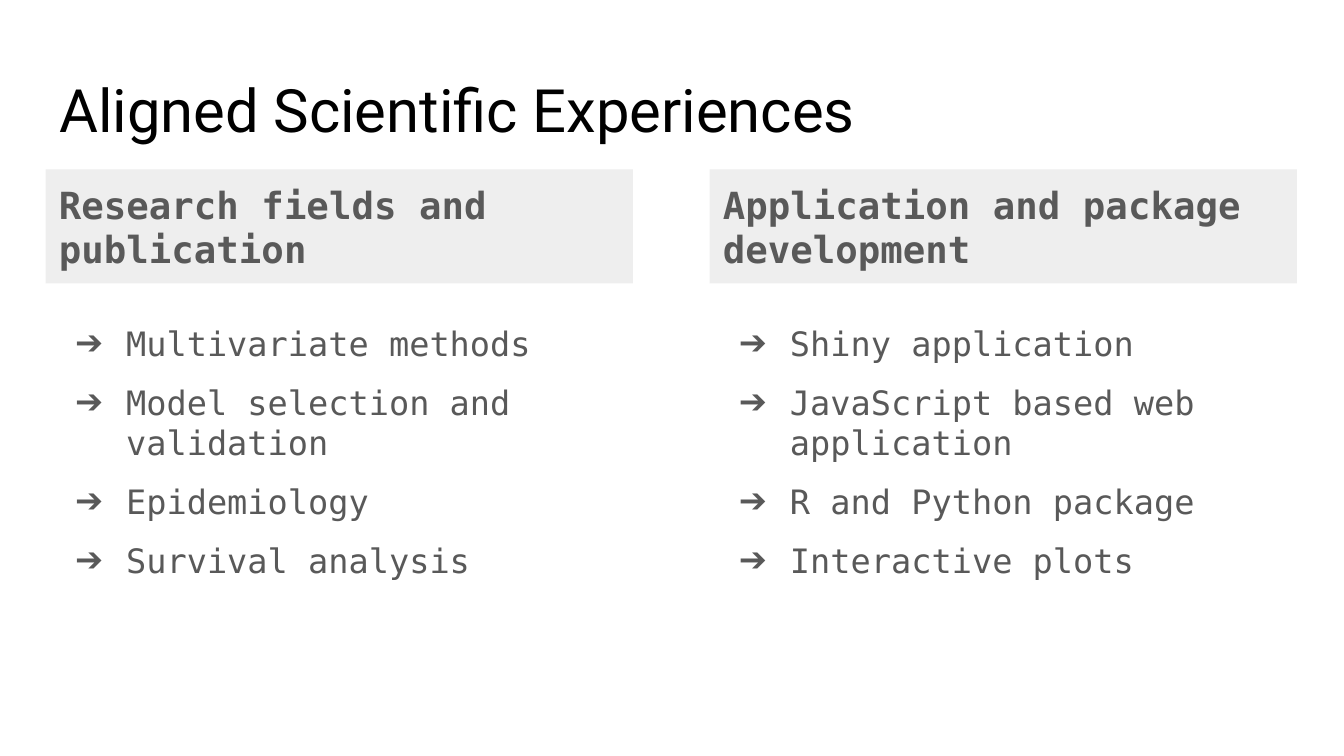
from dataclasses import dataclass

from lxml.etree import SubElement
from pptx import Presentation
from pptx.dml.color import RGBColor as Rgb
from pptx.enum.text import MSO_ANCHOR as Anchor, MSO_AUTO_SIZE as Fit, PP_ALIGN as Align
from pptx.enum.shapes import MSO_SHAPE as Shape
from pptx.oxml.ns import qn
from pptx.util import Inches, Pt


@dataclass(frozen=True)
class Theme:
    ink: str = "000000"
    gray: str = "595959"
    band: str = "EEEEEE"
    sans: str = "Roboto"
    mono: str = "DejaVu Sans Mono"
    title: int = 32
    head: int = 20
    body: int = 18
    gap: int = 10


THEME = Theme()

COLUMNS = [
    ("Research fields and publication",
     ["Multivariate methods", "Model selection and validation",
      "Epidemiology", "Survival analysis"]),
    ("Application and package development",
     ["Shiny application", "JavaScript based web application",
      "R and Python package", "Interactive plots"]),
]


def add_mark(para, mark):
    """Give a paragraph a hanging bullet."""
    props = para._p.get_or_add_pPr()
    props.set("marL", str(Inches(0.5)))
    props.set("indent", str(-Inches(0.38)))
    color = SubElement(props, qn("a:buClr"))
    SubElement(color, qn("a:srgbClr"), val=THEME.gray)
    SubElement(props, qn("a:buFont"), typeface=THEME.sans)
    SubElement(props, qn("a:buChar"), char=mark)


def put_text(shape, lines, size, font=THEME.mono, color=THEME.gray, bold=False,
             anchor=Anchor.TOP, inset=(0.1, 0.1, 0.1, 0.1), mark=None, gap=0):
    frame = shape.text_frame
    frame.word_wrap = True
    frame.auto_size = Fit.NONE
    frame.vertical_anchor = anchor
    (frame.margin_left, frame.margin_top,
     frame.margin_right, frame.margin_bottom) = map(Inches, inset)
    for i, line in enumerate(lines):
        para = frame.paragraphs[0] if i == 0 else frame.add_paragraph()
        para.alignment = Align.LEFT
        para.space_before = Pt(gap if i else 0)
        if mark:
            add_mark(para, mark)
        run = para.add_run()
        run.text = line
        run.font.name = font
        run.font.size = Pt(size)
        run.font.bold = bold
        run.font.color.rgb = Rgb.from_string(color)
    para.space_after = Pt(gap)


def add_title(slide, text, left, top, width, height):
    title = slide.shapes.title
    title.left, title.top = Inches(left), Inches(top)
    title.width, title.height = Inches(width), Inches(height)
    put_text(title, [text], THEME.title, font=THEME.sans, color=THEME.ink,
             anchor=Anchor.MIDDLE)


def add_column(slide, head, items, left, top, width, height):
    # Heading band
    band_h, list_y = 0.85, 1.04
    band = slide.shapes.add_shape(Shape.RECTANGLE, Inches(left), Inches(top),
                                  Inches(width), Inches(band_h))
    band.shadow.inherit = False
    band.fill.solid()
    band.fill.fore_color.rgb = Rgb.from_string(THEME.band)
    band.line.fill.background()
    put_text(band, [head], THEME.head, bold=True, anchor=Anchor.MIDDLE,
             inset=(0.1, 0.04, 0.04, 0.04))

    # Bullet list
    box = slide.shapes.add_textbox(Inches(left), Inches(top + list_y),
                                   Inches(width), Inches(height - list_y))
    put_text(box, items, THEME.body, mark="➔", gap=THEME.gap)


def main():
    # Widescreen page, 16 to 9
    deck = Presentation()
    deck.slide_width, deck.slide_height = Inches(10), Inches(10 * 9 / 16)
    slide = deck.slides.add_slide(deck.slide_layouts[5])

    left, width, col_w = 0.34, 9.32, 4.37
    add_title(slide, "Aligned Scientific Experiences", left, 0.49, width, 0.63)
    for i, (head, items) in enumerate(COLUMNS):
        add_column(slide, head, items, left + i * (width - col_w - 0.01), 1.26,
                   col_w, 3.77)

    deck.save("out.pptx")


if __name__ == "__main__":
    main()
